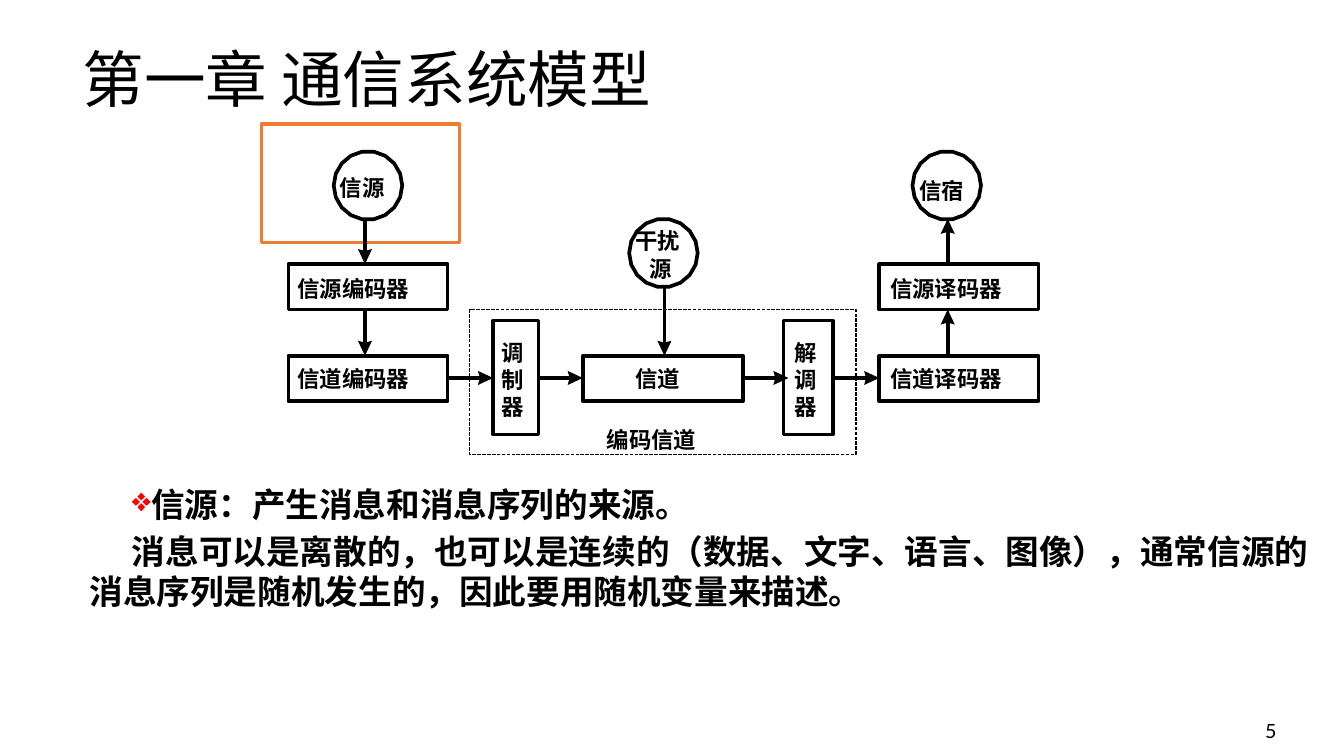
"""Build the communication system model slide."""
from math import cos, pi, sin
from typing import NamedTuple

from lxml import etree
from pptx import Presentation
from pptx.dml.color import RGBColor
from pptx.enum import dml, shapes, text
from pptx.oxml.ns import qn
from pptx.util import Inches, Pt

CJK = "Noto Sans CJK SC"
BLACK = "000000"
STROKE = 2.63


class Block(NamedTuple):
    left: float
    top: float
    width: float
    height: float
    color: str = BLACK
    weight: float = STROKE
    dashed: bool = False


class Label(NamedTuple):
    wording: str
    left: float
    top: float


class Arrow(NamedTuple):
    start: tuple[float, float]
    tip: tuple[float, float]


LEFT_X, RIGHT_X, UPPER_Y, LOWER_Y = 2.86, 8.72, 2.62, 3.53
CHAIN_Y = 3.75

BLOCKS = [
    Block(4.66, 3.07, 3.83, 1.44, weight=0.88, dashed=True),
    *[Block(x, y, 1.58, 0.45) for x in (LEFT_X, RIGHT_X) for y in (UPPER_Y, LOWER_Y)],
    Block(4.89, 3.18, 0.45, 1.13),
    Block(5.78, LOWER_Y, 1.59, 0.45),
    Block(7.77, 3.18, 0.49, 1.13),
    Block(2.59, 1.23, 1.97, 1.18, "ED7D31", 2.25),
]
CIRCLE_CENTERS = [(3.65, 1.84), (9.39, 1.84), (6.58, 2.51)]
LABELS = [
    Label("信源", 3.37, 1.73),
    Label("信宿", 9.12, 1.76),
    Label("干扰", 6.3, 2.25),
    Label("源", 6.44, 2.53),
    Label("信源编码器", 2.95, 2.73),
    Label("信道编码器", 2.95, 3.62),
    Label("信源译码器", 8.83, 2.73),
    Label("信道译码器", 8.83, 3.62),
    Label("信道", 6.3, 3.62),
    Label("编码信道", 6.02, 4.23),
    *[Label(char, x, 3.36 + 0.27 * row)
      for word, x in (("调制器", 4.97), ("解调器", 7.88))
      for row, char in enumerate(word)],
]
ARROWS = [
    Arrow((3.62, 2.17), (3.62, UPPER_Y)),
    Arrow((3.62, 3.07), (3.62, LOWER_Y)),
    Arrow((6.59, 2.85), (6.59, LOWER_Y)),
    Arrow((9.4, LOWER_Y), (9.4, 3.07)),
    Arrow((9.4, UPPER_Y), (9.4, 2.17)),
    *[Arrow((start, CHAIN_Y), (tip, CHAIN_Y))
      for start, tip in ((4.43, 4.89), (5.34, 5.78), (7.37, 7.82), (8.26, 8.72))],
]
BODY = [
    "信源：产生消息和消息序列的来源。",
    "消息可以是离散的，也可以是连续的（数据、文字、语言、图像），通常信源的消息序列是随机发生的，因此要用随机变量来描述。",
]


def rgb(value: str) -> RGBColor:
    return RGBColor.from_string(value)


def style(para, size: float, bold: bool = False, face: str = CJK) -> None:
    for span in para.runs:
        span.font.size = Pt(size)
        span.font.bold = bold
        span.font.color.rgb = rgb(BLACK)
        span.font.name = face
        etree.SubElement(span.font._element, qn("a:ea"), typeface=face)


def outline(shape, color: str = BLACK, weight: float = STROKE) -> None:
    shape.shadow.inherit = False
    shape.fill.background()
    shape.line.color.rgb = rgb(color)
    shape.line.width = Pt(weight)


def polygon(page, points: list[tuple[float, float]]):
    corners = [(Inches(x), Inches(y)) for x, y in points]
    builder = page.shapes.build_freeform(*corners[0])
    builder.add_line_segments(corners[1:], close=True)
    return builder.convert_to_shape()


def text_box(page, left: float, top: float, width: float, height: float):
    return page.shapes.add_textbox(
        Inches(left), Inches(top), Inches(width), Inches(height)).text_frame


def draw_block(page, block: Block) -> None:
    shape = page.shapes.add_shape(
        shapes.MSO_SHAPE.RECTANGLE, Inches(block.left), Inches(block.top),
        Inches(block.width), Inches(block.height))
    outline(shape, block.color, block.weight)
    if block.dashed:
        shape.line.dash_style = dml.MSO_LINE.SQUARE_DOT


def draw_circle(page, center: tuple[float, float], radius: float = 0.34) -> None:
    angles = [pi + step * pi / 9 for step in range(18)]
    outline(polygon(page, [(center[0] + radius * cos(a), center[1] + radius * sin(a))
                           for a in angles]))


def draw_label(page, label: Label) -> None:
    box = text_box(page, label.left, label.top, len(label.wording) * 0.224, 0.27)
    box.margin_left = box.margin_right = box.margin_top = box.margin_bottom = 0
    box.word_wrap = False
    box.auto_size = text.MSO_AUTO_SIZE.SHAPE_TO_FIT_TEXT
    box.text = label.wording
    style(box.paragraphs[0], 16, True)


def draw_arrow(page, arrow: Arrow) -> None:
    (x0, y0), (x1, y1) = arrow
    length = abs(x1 - x0) + abs(y1 - y0)
    dx, dy = (x1 - x0) / length, (y1 - y0) / length

    def point(back: float, side: float = 0) -> tuple[float, float]:
        return x1 - back * dx - side * dy, y1 - back * dy + side * dx

    end_x, end_y = point(0.11)
    shaft = page.shapes.add_connector(
        shapes.MSO_CONNECTOR.STRAIGHT, Inches(x0), Inches(y0), Inches(end_x), Inches(end_y))
    shaft.line.color.rgb = rgb(BLACK)
    shaft.line.width = Pt(STROKE)
    etree.SubElement(shaft._element.spPr, qn("a:effectLst"))
    head = polygon(page, [point(0), point(0.15, 0.07), point(0.13), point(0.15, -0.07)])
    head.shadow.inherit = False
    head.fill.solid()
    head.fill.fore_color.rgb = rgb(BLACK)
    head.line.fill.background()


def draw_title(page) -> None:
    title = page.shapes.title
    title.left, title.top, title.width, title.height = (
        Inches(v) for v in (0.59, 0.28, 8, 1.08))
    frame = title.text_frame
    frame.text = "第一章 通信系统模型"
    frame.auto_size = text.MSO_AUTO_SIZE.NONE
    frame.vertical_anchor = text.MSO_ANCHOR.MIDDLE
    frame.margin_left = Inches(0.23)
    para = frame.paragraphs[0]
    para.alignment = text.PP_ALIGN.LEFT
    para.line_spacing = 0.9
    style(para, 44)


def draw_body(page) -> None:
    frame = text_box(page, 0.58, 4.75, 12.75, 2.17)
    frame.word_wrap = True
    frame.text = "\n".join(BODY)
    for para in frame.paragraphs:
        props = para._p.get_or_add_pPr()
        props.set("marL", str(Inches(0.21)))
        props.set("indent", str(Inches(0.42)))
        style(para, 24, True)
    first, second = frame.paragraphs
    second.space_before = Pt(5)
    props = first._p.get_or_add_pPr()
    color = etree.SubElement(props, qn("a:buClr"))
    etree.SubElement(color, qn("a:srgbClr"), val="FF0000")
    etree.SubElement(props, qn("a:buChar"), char="❖")


def draw_number(page) -> None:
    frame = text_box(page, 12.45, 7, 0.8, 0.5)
    frame.vertical_anchor = text.MSO_ANCHOR.MIDDLE
    frame.text = "5"
    style(frame.paragraphs[0], 14, face="Lato")


def main() -> None:
    deck = Presentation()
    deck.slide_width, deck.slide_height = Inches(13.33), Inches(7.5)
    page = deck.slides.add_slide(deck.slide_layouts[5])
    draw_title(page)
    for block in BLOCKS:
        draw_block(page, block)
    for center in CIRCLE_CENTERS:
        draw_circle(page, center)
    for label in LABELS:
        draw_label(page, label)
    for arrow in ARROWS:
        draw_arrow(page, arrow)
    draw_body(page)
    draw_number(page)
    deck.save("out.pptx")


if __name__ == "__main__":
    main()
